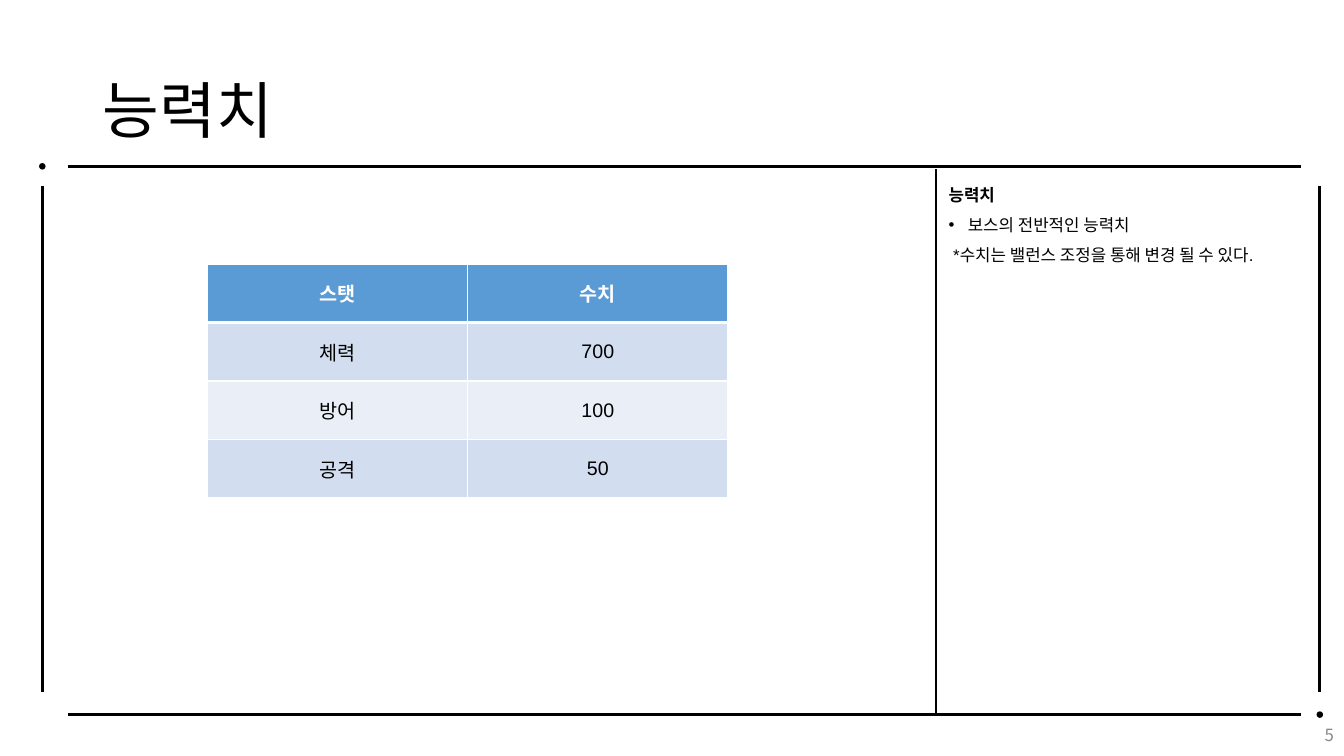
from lxml.etree import SubElement
from pptx import Presentation
from pptx.dml.color import RGBColor
from pptx.enum.shapes import MSO_CONNECTOR as Connector, MSO_SHAPE as Shape
from pptx.enum.text import MSO_ANCHOR as Anchor, MSO_AUTO_SIZE as AutoSize, PP_ALIGN as Align
from pptx.oxml.ns import qn
from pptx.util import Inches, Pt

WIDTH, HEIGHT = Inches(13.33), Inches(7.5)
COLORS = {"ink": "000000", "paper": "FFFFFF", "page": "888888",
          "header": "5B9BD5", "odd": "D2DEEF", "even": "EAEFF7"}
LATIN, KOREAN = "Arial", "Noto Sans CJK KR"
FRAME_LEFT, FRAME_RIGHT = 3.15, 98.2
FRAME_TOP, FRAME_BOTTOM = 22, 94.53
STATS = [("스탯", "수치"), ("체력", "700"), ("방어", "100"), ("공격", "50")]


def across(percent):
    """Turn a share of the slide's width into a length."""
    return round(WIDTH * percent / 100)


def down(percent):
    """Turn a share of the slide's height into a length."""
    return round(HEIGHT * percent / 100)


def color(name):
    """Look up a named colour."""
    return RGBColor.from_string(COLORS[name])


def write(paragraph, text, size=12, font=LATIN, ink="ink", bold=False,
          align=Align.LEFT, spacing=1.0):
    """Write one formatted run into a paragraph."""
    paragraph.alignment = align
    paragraph.line_spacing = spacing
    run = paragraph.add_run()
    run.text = text
    run.font.name = font
    run.font.size = Pt(size)
    run.font.bold = bold
    run.font.color.rgb = color(ink)
    SubElement(run.font._element, qn("a:ea"), typeface=KOREAN)


def add_box(slide, left, top, width, height, anchor=Anchor.TOP):
    """Add a wrapping text box and return its text frame."""
    box = slide.shapes.add_textbox(across(left), down(top), across(width), down(height))
    box.text_frame.word_wrap = True
    box.text_frame.vertical_anchor = anchor
    return box.text_frame


def add_bullet(paragraph):
    """Give a paragraph a round bullet with a hanging indent."""
    properties = paragraph._p.get_or_add_pPr()
    properties.set("marL", str(Inches(0.19)))
    properties.set("indent", str(-Inches(0.19)))
    SubElement(properties, qn("a:buFont"), typeface=LATIN)
    SubElement(properties, qn("a:buChar"), char="•")


def add_line(slide, left, top, right, bottom, weight=2.25):
    """Draw a straight black line."""
    line = slide.shapes.add_connector(
        Connector.STRAIGHT, across(left), down(top), across(right), down(bottom))
    line.line.color.rgb = color("ink")
    line.line.width = Pt(weight)
    SubElement(line._element.spPr, qn("a:effectLst"))


def add_dot(slide, center_x, center_y):
    """Draw a small corner dot around a point."""
    size = Inches(0.05)
    dot = slide.shapes.add_shape(Shape.OVAL, across(center_x) - size // 2,
                                 down(center_y) - size // 2, size, size)
    dot.shadow.inherit = False
    dot.fill.solid()
    dot.fill.fore_color.rgb = color("ink")
    dot.line.color.rgb = color("ink")
    dot.line.width = Pt(1)


def add_frame(slide):
    """Draw the open frame with dots at two opposite corners."""
    for y in (FRAME_TOP, FRAME_BOTTOM):
        add_line(slide, 5.03, y, 96.77, y)
    for x in (FRAME_LEFT, FRAME_RIGHT):
        add_line(slide, x, 24.67, x, 91.6)
    add_dot(slide, FRAME_LEFT, FRAME_TOP)
    add_dot(slide, FRAME_RIGHT, FRAME_BOTTOM)


def set_borders(cell, **weights):
    """Give a cell white borders, with weights by side."""
    properties = cell._tc.get_or_add_tcPr()
    for side, weight in weights.items():
        border = SubElement(properties, qn(f"a:ln{side}"), w=str(Pt(weight)))
        fill = SubElement(border, qn("a:solidFill"))
        SubElement(fill, qn("a:srgbClr"), val=COLORS["paper"])


def add_stats_table(slide, left, top, width, height):
    """Add the table of stats with a header and banded rows."""
    table = slide.shapes.add_table(len(STATS), len(STATS[0]), across(left), down(top),
                                   across(width), down(height)).table
    for row, values in enumerate(STATS):
        is_header = row == 0
        band = "header" if is_header else "odd" if row % 2 else "even"
        for column, value in enumerate(values):
            cell = table.cell(row, column)
            set_borders(cell, L=1, R=1, T=3 if row == 1 else 1, B=3 if is_header else 1)
            cell.fill.solid()
            cell.fill.fore_color.rgb = color(band)
            cell.vertical_anchor = Anchor.MIDDLE
            write(cell.text_frame.paragraphs[0], value, size=14, bold=is_header,
                  ink="paper" if is_header else "ink", align=Align.CENTER)


def add_notes_panel(slide):
    """Add the explanation on the right of the dividing line."""
    frame = add_box(slide, 69.84, 22.4, 30.01, 12.93)
    frame.auto_size = AutoSize.SHAPE_TO_FIT_TEXT
    write(frame.paragraphs[0], "능력치", bold=True, spacing=1.5)
    bullet = frame.add_paragraph()
    add_bullet(bullet)
    write(bullet, "보스의 전반적인 능력치", spacing=1.5)
    write(frame.add_paragraph(), " *수치는 밸런스 조정을 통해 변경 될 수 있다.", spacing=1.5)


def main():
    """Build the slide and save it."""
    presentation = Presentation()
    presentation.slide_width, presentation.slide_height = WIDTH, HEIGHT
    slide = presentation.slides.add_slide(presentation.slide_layouts[6])
    add_notes_panel(slide)
    title = add_box(slide, 6.9, 5.33, 86.27, 19.33, Anchor.MIDDLE)
    write(title.paragraphs[0], "능력치", size=44, font=KOREAN, spacing=0.9)
    add_frame(slide)
    page = add_box(slide, 77.49, FRAME_BOTTOM, 22.5, 5.33, Anchor.MIDDLE)
    write(page.paragraphs[0], "5", font=KOREAN, ink="page", align=Align.RIGHT)
    add_line(slide, 69.62, 22.4, 69.62, FRAME_BOTTOM, weight=1.5)
    add_stats_table(slide, 15.45, 34.93, 38.71, 30.93)
    presentation.save("out.pptx")


if __name__ == "__main__":
    main()
